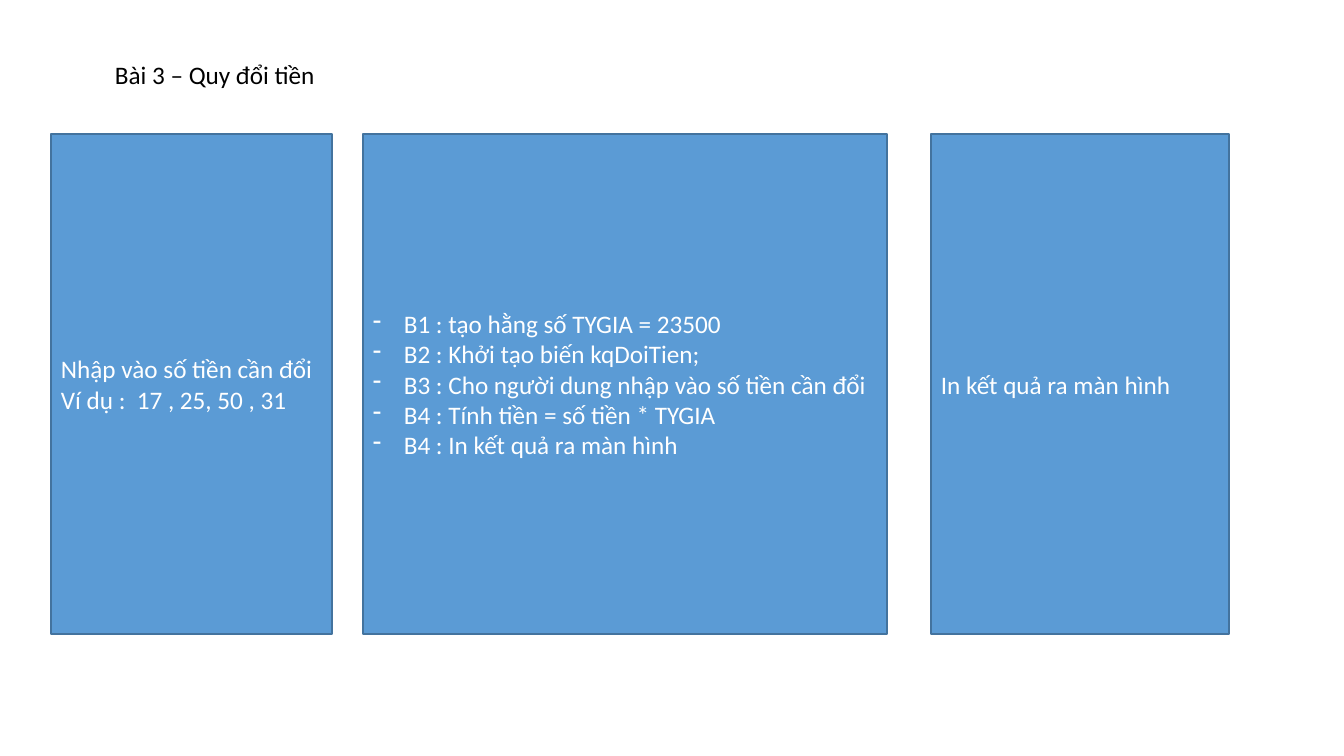
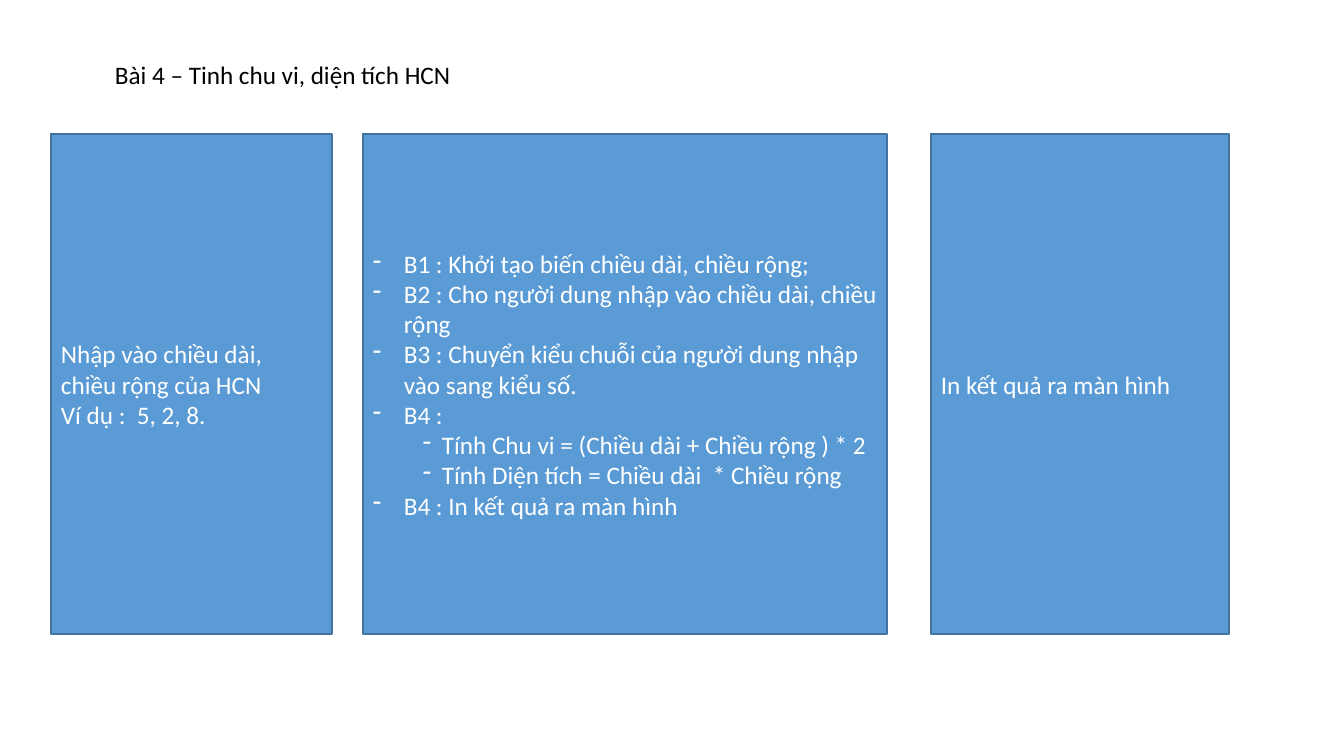
from dataclasses import dataclass

from lxml import etree
from pptx import Presentation
from pptx.dml.color import RGBColor
from pptx.enum.shapes import MSO_SHAPE
from pptx.enum.text import MSO_ANCHOR, MSO_AUTO_SIZE, PP_ALIGN
from pptx.oxml.ns import qn
from pptx.util import Emu, Pt

RECT = MSO_SHAPE.RECTANGLE
MIDDLE = MSO_ANCHOR.MIDDLE
LEFT = PP_ALIGN.LEFT
FIT_SHAPE = MSO_AUTO_SIZE.SHAPE_TO_FIT_TEXT
BLANK_LAYOUT = 6


# Shared look
@dataclass(frozen=True)
class Theme:
    font: str = "Calibri"
    size: Pt = Pt(18)
    border_width: Pt = Pt(1)
    panel: RGBColor = RGBColor(0x5B, 0x9B, 0xD5)
    border: RGBColor = RGBColor(0x43, 0x73, 0x9E)
    panel_text: RGBColor = RGBColor(0xFF, 0xFF, 0xFF)
    title_text: RGBColor = RGBColor(0x00, 0x00, 0x00)


@dataclass(frozen=True)
class Box:
    x: int
    y: int
    w: int
    h: int


@dataclass(frozen=True)
class Line:
    text: str
    level: int = 0
    margin: int = 0
    hanging: int = 0


@dataclass(frozen=True)
class Exercise:
    title: str
    inputs: list[Line]
    steps: list[Line]
    outputs: list[Line]


THEME = Theme()


def px(n: int) -> Emu:
    return Emu(round(n * 914400 / 100.8))


# Layout in pixels
SLIDE_W, SLIDE_H = 1344, 756
TITLE_BOX = Box(105, 54, 374, 40)
PANEL_TOP, PANEL_H = 134, 500
INPUT_BOX, STEPS_BOX, OUTPUT_BOX = (
    Box(x, PANEL_TOP, w, PANEL_H) for x, w in ((51, 281), (363, 524), (931, 298))
)


def step(text: str) -> Line:
    return Line(text, margin=31, hanging=31)


def substep(text: str) -> Line:
    return Line(text, level=1, margin=69, hanging=19)


# Content
OUTPUT_TEXT = "In kết quả ra màn hình"
EXERCISES = [
    Exercise(
        "Bài 3 – Quy đổi tiền",
        [Line("Nhập vào số tiền cần đổi "), Line("Ví dụ :  17 , 25, 50 , 31")],
        [
            step("B1 : tạo hằng số TYGIA = 23500"),
            step("B2 : Khởi tạo biến kqDoiTien;"),
            step("B3 : Cho người dung nhập vào số tiền cần đổi"),
            step("B4 : Tính tiền = số tiền * TYGIA"),
            step(f"B4 : {OUTPUT_TEXT}"),
        ],
        [Line(OUTPUT_TEXT)],
    ),
    Exercise(
        "Bài 4 – Tinh chu vi, diện tích HCN",
        [Line("Nhập vào chiều dài, chiều rộng của HCN "), Line("Ví dụ :  5, 2, 8.")],
        [
            step("B1 : Khởi tạo biến chiều dài, chiều rộng;"),
            step("B2 : Cho người dung nhập vào chiều dài, chiều rộng "),
            step("B3 : Chuyển kiểu chuỗi của người dung nhập vào sang kiểu số."),
            step("B4 :"),
            substep("Tính Chu vi = (Chiều dài + Chiều rộng ) * 2"),
            substep("Tính Diện tích = Chiều dài  * Chiều rộng"),
            step(f"B4 : {OUTPUT_TEXT}"),
        ],
        [Line(OUTPUT_TEXT)],
    ),
]


# Drawing
def place(box: Box) -> tuple[Emu, Emu, Emu, Emu]:
    return px(box.x), px(box.y), px(box.w), px(box.h)


def add_dash(p, line: Line) -> None:
    pPr = p._p.get_or_add_pPr()
    pPr.set("marL", str(px(line.margin)))
    pPr.set("indent", str(-px(line.hanging)))
    etree.SubElement(pPr, qn("a:buChar"), char="-")


def write_lines(tf, lines: list[Line], color: RGBColor) -> None:
    tf.word_wrap = True
    tf.text = "\n".join(line.text for line in lines)
    for p, line in zip(tf.paragraphs, lines):
        p.alignment = LEFT
        p.level = line.level
        if line.hanging:
            add_dash(p, line)
        for r in p.runs:
            r.font.name = THEME.font
            r.font.size = THEME.size
            r.font.color.rgb = color


def draw_panel(s, box: Box, lines: list[Line]) -> None:
    sp = s.shapes.add_shape(RECT, *place(box))
    sp.shadow.inherit = False
    sp.fill.solid()
    sp.fill.fore_color.rgb = THEME.panel
    sp.line.color.rgb = THEME.border
    sp.line.width = THEME.border_width
    sp.text_frame.vertical_anchor = MIDDLE
    write_lines(sp.text_frame, lines, THEME.panel_text)


def draw_title(s, title: str) -> None:
    tf = s.shapes.add_textbox(*place(TITLE_BOX)).text_frame
    write_lines(tf, [Line(title)], THEME.title_text)
    tf.auto_size = FIT_SHAPE


def draw_exercise(prs, exercise: Exercise) -> None:
    s = prs.slides.add_slide(prs.slide_layouts[BLANK_LAYOUT])
    draw_panel(s, INPUT_BOX, exercise.inputs)
    draw_panel(s, STEPS_BOX, exercise.steps)
    draw_panel(s, OUTPUT_BOX, exercise.outputs)
    draw_title(s, exercise.title)


# Build
prs = Presentation()
prs.slide_width, prs.slide_height = px(SLIDE_W), px(SLIDE_H)
for exercise in EXERCISES:
    draw_exercise(prs, exercise)
prs.save("out.pptx")
